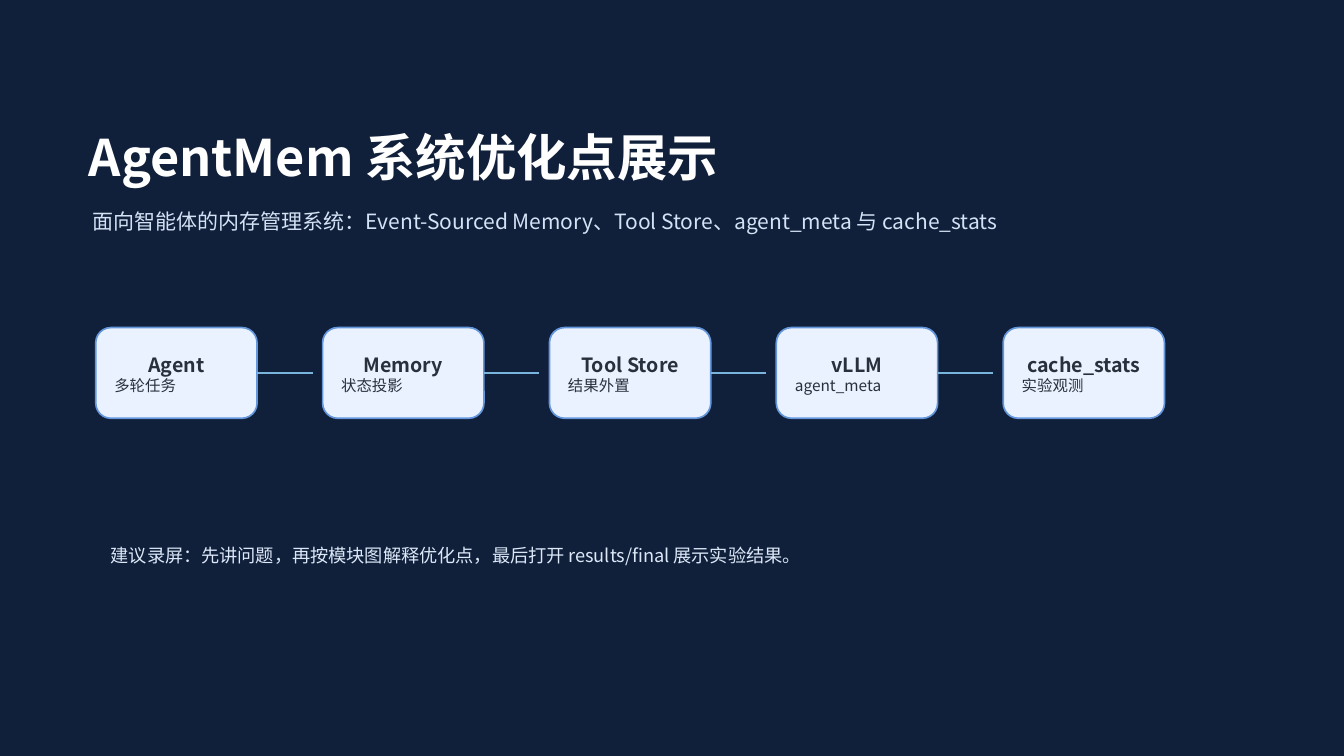
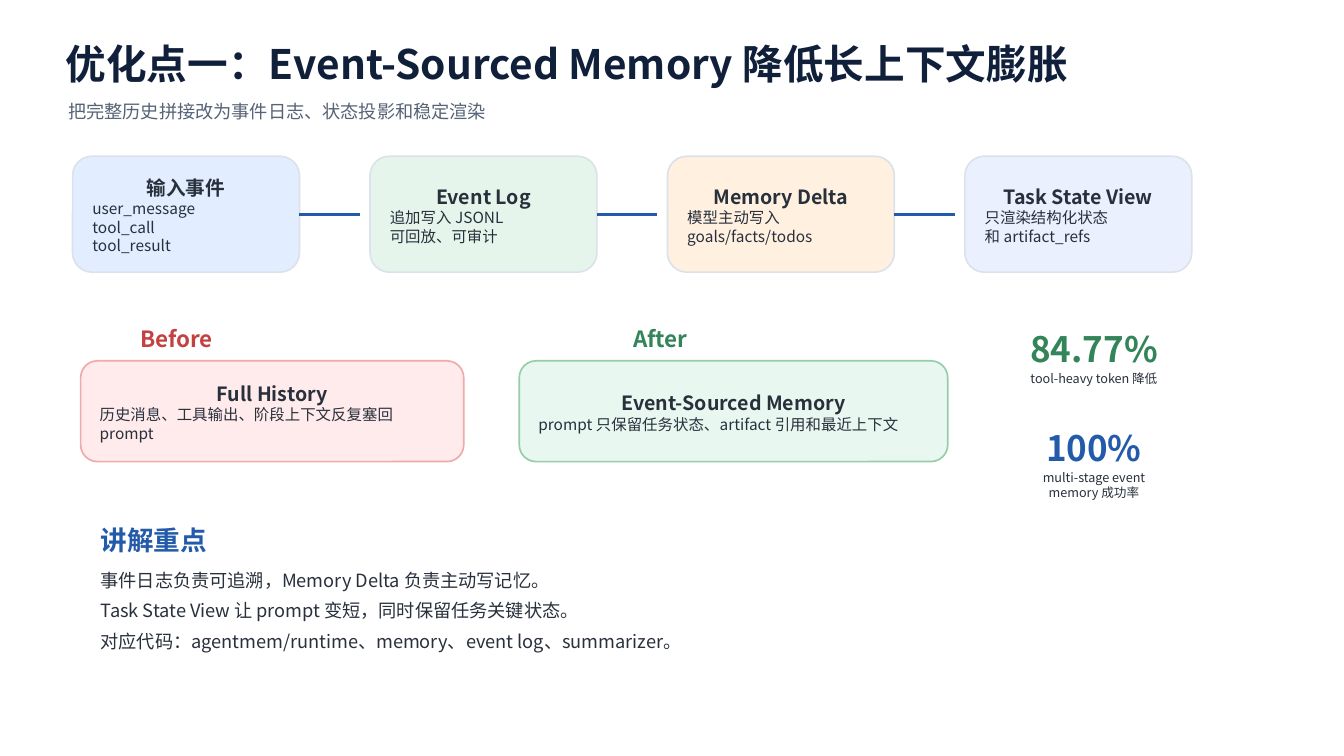
from lxml import etree
from pptx import Presentation
from pptx import util as u
from pptx.dml.color import RGBColor
from pptx.enum import shapes, text as t
from pptx.oxml.ns import qn

PX = 9144  # EMU per px, 100 px to the inch
FONT = "Noto Sans CJK SC"
LEFT, CENTER = t.PP_ALIGN.LEFT, t.PP_ALIGN.CENTER
COLORS = {key: RGBColor.from_string(value) for key, value in {
    "navy": "11203A", "white": "FFFFFF", "ink": "28303C", "slate": "566376",
    "mist": "D4E2F5", "haze": "DCE8F8", "blue": "235BAA", "sky": "78B4DC",
    "red": "C44141", "green": "338459",
    "ice": "EBF2FF", "ice_edge": "6496DC", "grey_edge": "DCE2EB",
    "pale_blue": "E2EEFF", "pale_green": "E5F5EB", "pale_orange": "FFF0E0",
    "pale_violet": "EBF0FF", "pale_red": "FFEBEB", "red_edge": "F0AAAA",
    "mint": "E8F8F0", "green_edge": "96CDAA",
}.items()}


def write(slide, text, box=None, shape=None, size=13, color="ink", bold=False,
          align=LEFT, after=0):
    """Add text to a shape, or to a new text box when no shape is given."""
    if box:
        x, y, w, h = (n * PX for n in box)
        shape = shape or slide.shapes.add_textbox(x, y, w, h)
        shape.left, shape.top, shape.width, shape.height = x, y, w, h
        shape.text_frame.word_wrap = True
        shape.text_frame.auto_size = t.MSO_AUTO_SIZE.SHAPE_TO_FIT_TEXT
        shape.text_frame.vertical_anchor = t.MSO_ANCHOR.TOP
    frame = shape.text_frame
    for line in text.split("\n"):
        paragraph = frame.add_paragraph() if frame.text else frame.paragraphs[0]
        paragraph.alignment = align
        if after:
            paragraph.space_after = u.Pt(after)
        run = paragraph.add_run()
        run.text = line
        run.font.size, run.font.bold = u.Pt(size), bold
        run.font.color.rgb = COLORS[color]
        run.font.name = FONT
        etree.SubElement(run.font._element, qn("a:ea"), typeface=FONT)


def add_card(slide, box, heading, body, fill, edge):
    card = slide.shapes.add_shape(shapes.MSO_SHAPE.ROUNDED_RECTANGLE,
                                  *(n * PX for n in box))
    card.shadow.inherit = False
    card.fill.solid()
    card.fill.fore_color.rgb = COLORS[fill]
    card.line.color.rgb = COLORS[edge]
    card.line.width = u.Pt(1.2)
    frame = card.text_frame
    frame.word_wrap = True
    frame.vertical_anchor = t.MSO_ANCHOR.MIDDLE
    frame.margin_left = frame.margin_right = 14 * PX
    frame.margin_top, frame.margin_bottom = 8 * PX, 6 * PX
    write(slide, heading, shape=card, size=14, bold=True, align=CENTER)
    write(slide, body, shape=card, size=11)


deck = Presentation()
deck.slide_width, deck.slide_height = 1333 * PX, 750 * PX

# Slides with background, title and subtitle
cover, memory = [deck.slides.add_slide(deck.slide_layouts[5]) for _ in range(2)]
for slide, ground in ((cover, "navy"), (memory, "white")):
    slide.background.fill.solid()
    slide.background.fill.fore_color.rgb = COLORS[ground]
write(cover, "AgentMem 系统优化点展示", (78, 120, 1180, 75),
      shape=cover.shapes.title, size=36, color="white", bold=True)
write(cover, "面向智能体的内存管理系统：Event-Sourced Memory、Tool Store、agent_meta 与 cache_stats",
      (82, 202, 1110, 42), size=15, color="mist")
write(memory, "优化点一：Event-Sourced Memory 降低长上下文膨胀", (55, 34, 1220, 58),
      shape=memory.shapes.title, size=29, color="navy", bold=True)
write(memory, "把完整历史拼接改为事件日志、状态投影和稳定渲染",
      (58, 95, 1170, 35), color="slate")

# Flow rows: cards at an equal pitch, each link stops 10 px before the next card
system_steps = [
    ("Agent", "多轮任务", "ice"),
    ("Memory", "状态投影", "ice"),
    ("Tool Store", "结果外置", "ice"),
    ("vLLM", "agent_meta", "ice"),
    ("cache_stats", "实验观测", "ice"),
]
event_steps = [
    ("输入事件", "user_message\ntool_call\ntool_result", "pale_blue"),
    ("Event Log", "追加写入 JSONL\n可回放、可审计", "pale_green"),
    ("Memory Delta", "模型主动写入\ngoals/facts/todos", "pale_orange"),
    ("Task State View", "只渲染结构化状态\n和 artifact_refs", "pale_violet"),
]
for slide, (left, top, width, height), pitch, edge, link_color, steps in (
    (cover, (95, 325, 160, 90), 225, "ice_edge", "sky", system_steps),
    (memory, (72, 155, 225, 115), 295, "grey_edge", "blue", event_steps),
):
    middle = top + (height + 1) // 2
    for i, (heading, body, fill) in enumerate(steps):
        x = left + i * pitch
        add_card(slide, (x, top, width, height), heading, body, fill, edge)
        if i < len(steps) - 1:
            link = slide.shapes.add_connector(
                shapes.MSO_CONNECTOR.STRAIGHT, (x + width) * PX, middle * PX,
                (x + pitch - 10) * PX, middle * PX)
            link.line.color.rgb = COLORS[link_color]
            link.line.width = u.Pt(2)
            etree.SubElement(link._element.spPr, qn("a:effectLst"))

# Cover: recording hint
write(cover, "建议录屏：先讲问题，再按模块图解释优化点，最后打开 results/final 展示实验结果。",
      (100, 535, 1100, 40), color="haze")

# Before and after
for label, label_x, color, x, width, heading, body, fill, edge in (
    ("Before", 120, "red", 80, 380, "Full History",
     "历史消息、工具输出、阶段上下文反复塞回 prompt", "pale_red", "red_edge"),
    ("After", 600, "green", 515, 425, "Event-Sourced Memory",
     "prompt 只保留任务状态、artifact 引用和最近上下文", "mint", "green_edge"),
):
    write(memory, label, (label_x, 318, 110, 30), size=16, color=color,
          bold=True, align=CENTER)
    add_card(memory, (x, 358, width, 100), heading, body, fill, edge)

# Key figures
for i, (figure, caption, color) in enumerate((
    ("84.77%", "tool-heavy token 降低", "green"),
    ("100%", "multi-stage event memory 成功率", "blue"),
)):
    y = 320 + i * 98
    write(memory, figure, (1005, y, 160, 45), size=25, color=color,
          bold=True, align=CENTER)
    write(memory, caption, (1005, y + 43, 160, 38), size=9, align=CENTER)

# Talking points
write(memory, "讲解重点", (90, 515, 1110, 35), size=19, color="blue", bold=True)
write(memory, "事件日志负责可追溯，Memory Delta 负责主动写记忆。\n"
      "Task State View 让 prompt 变短，同时保留任务关键状态。\n"
      "对应代码：agentmem/runtime、memory、event log、summarizer。",
      (90, 560, 1110, 63), after=6)

deck.save("out.pptx")
